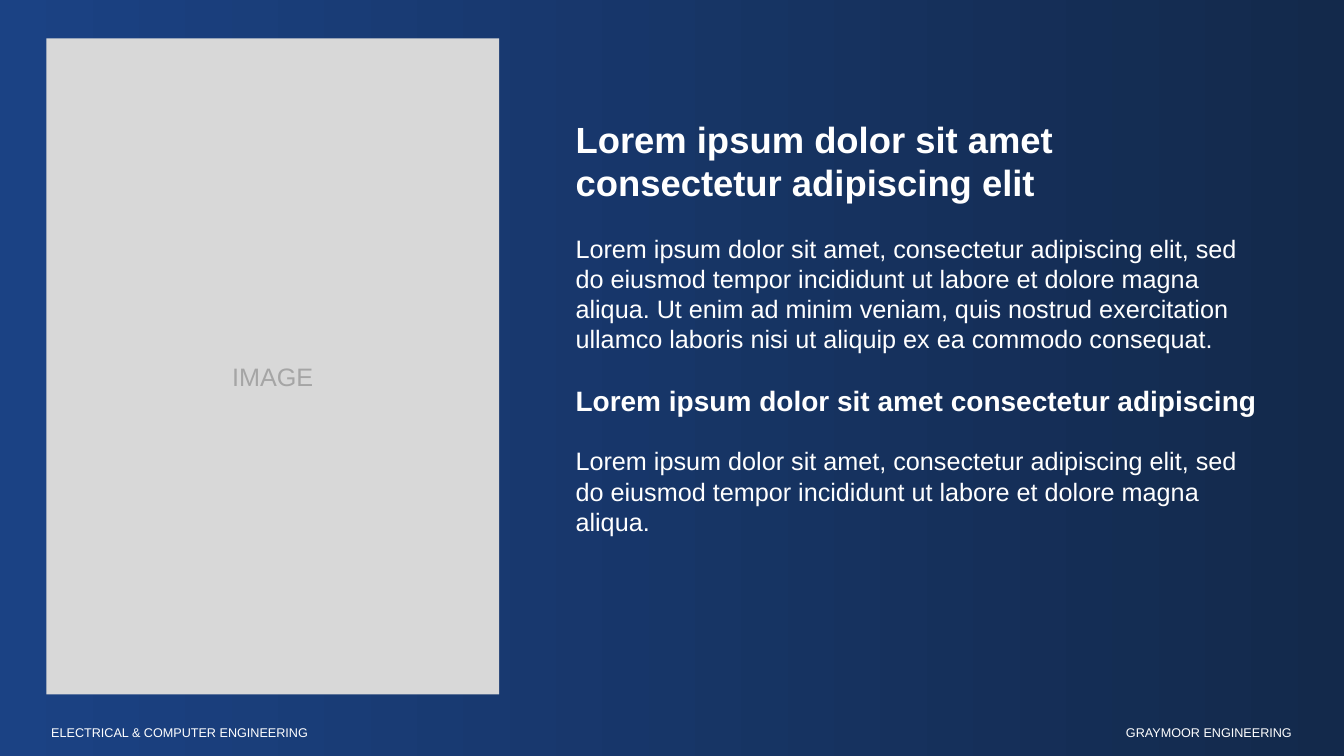
from pptx import Presentation
from pptx.dml.color import RGBColor as RGB
from pptx.enum.shapes import MSO_SHAPE as Shape
from pptx.enum.text import PP_ALIGN as Align
from pptx.util import Inches, Pt

WHITE = RGB(0xFF, 0xFF, 0xFF)
BLUE = RGB(0x1B, 0x42, 0x84)
NAVY = RGB(0x13, 0x29, 0x4B)
PALE = RGB(0xD8, 0xD8, 0xD8)
GRAY = RGB(0xA5, 0xA5, 0xA5)

WIDE, HIGH = 13.33, 7.5
GAP = Pt(20.7)

BASE = {"name": "Arial", "size": Pt(18), "bold": False}
TITLE = {"size": Pt(26), "bold": True}
HEAD = {"size": Pt(20), "bold": True}
BODY = {}
FOOT = {"size": Pt(9)}

COPY = [
    ("Lorem ipsum dolor sit amet consectetur adipiscing elit", TITLE),
    ("Lorem ipsum dolor sit amet, consectetur adipiscing elit, sed do "
     "eiusmod tempor incididunt ut labore et dolore magna aliqua. Ut enim "
     "ad minim veniam, quis nostrud exercitation ullamco laboris nisi ut "
     "aliquip ex ea commodo consequat.", BODY),
    ("Lorem ipsum dolor sit amet consectetur adipiscing", HEAD),
    ("Lorem ipsum dolor sit amet, consectetur adipiscing elit, sed do "
     "eiusmod tempor incididunt ut labore et dolore magna aliqua.", BODY),
]


def add_rect(slide, box):
    rect = slide.shapes.add_shape(Shape.RECTANGLE, *map(Inches, box))
    rect.shadow.inherit = False
    rect.line.fill.background()
    return rect


def add_text(slide, box, paras, color=WHITE, align=Align.LEFT):
    frame = slide.shapes.add_textbox(*map(Inches, box)).text_frame
    frame.word_wrap = True
    for i, (text, style) in enumerate(paras):
        para = frame.add_paragraph() if i else frame.paragraphs[0]
        para.alignment = align
        para.space_before = GAP if i else Pt(0)
        run = para.add_run()
        run.text = text
        for key, value in {**BASE, **style}.items():
            setattr(run.font, key, value)
        run.font.color.rgb = color


def add_back(slide, box):
    fill = add_rect(slide, box).fill
    fill.gradient()
    fill.gradient_angle = 0
    for stop, color in zip(fill.gradient_stops, (BLUE, NAVY)):
        stop.color.rgb = color


def add_photo(slide, box):
    left, top, width, height = box
    fill = add_rect(slide, box).fill
    fill.solid()
    fill.fore_color.rgb = PALE
    label = (left + 1, top + height / 2 - 0.1, width - 2, 0.4)
    add_text(slide, label, [("IMAGE", BODY)], GRAY, Align.CENTER)


def add_foot(slide, box):
    left, top, width, height = box
    side = 2.7
    add_text(slide, (left + width - side, top, side, height),
             [("GRAYMOOR ENGINEERING", FOOT)], align=Align.RIGHT)
    add_text(slide, (left, top, 8.74, height),
             [("ELECTRICAL & COMPUTER ENGINEERING", FOOT)])


def main():
    deck = Presentation()
    deck.slide_width, deck.slide_height = Inches(WIDE), Inches(HIGH)
    slide = deck.slides.add_slide(deck.slide_layouts[6])
    add_back(slide, (0, 0, WIDE, HIGH))
    add_photo(slide, (0.46, 0.38, 4.49, 6.51))
    add_text(slide, (5.61, 1.11, 7.02, 5.27), COPY)
    add_foot(slide, (0.41, 7.14, 12.5, 0.25))
    deck.save("out.pptx")


if __name__ == "__main__":
    main()
